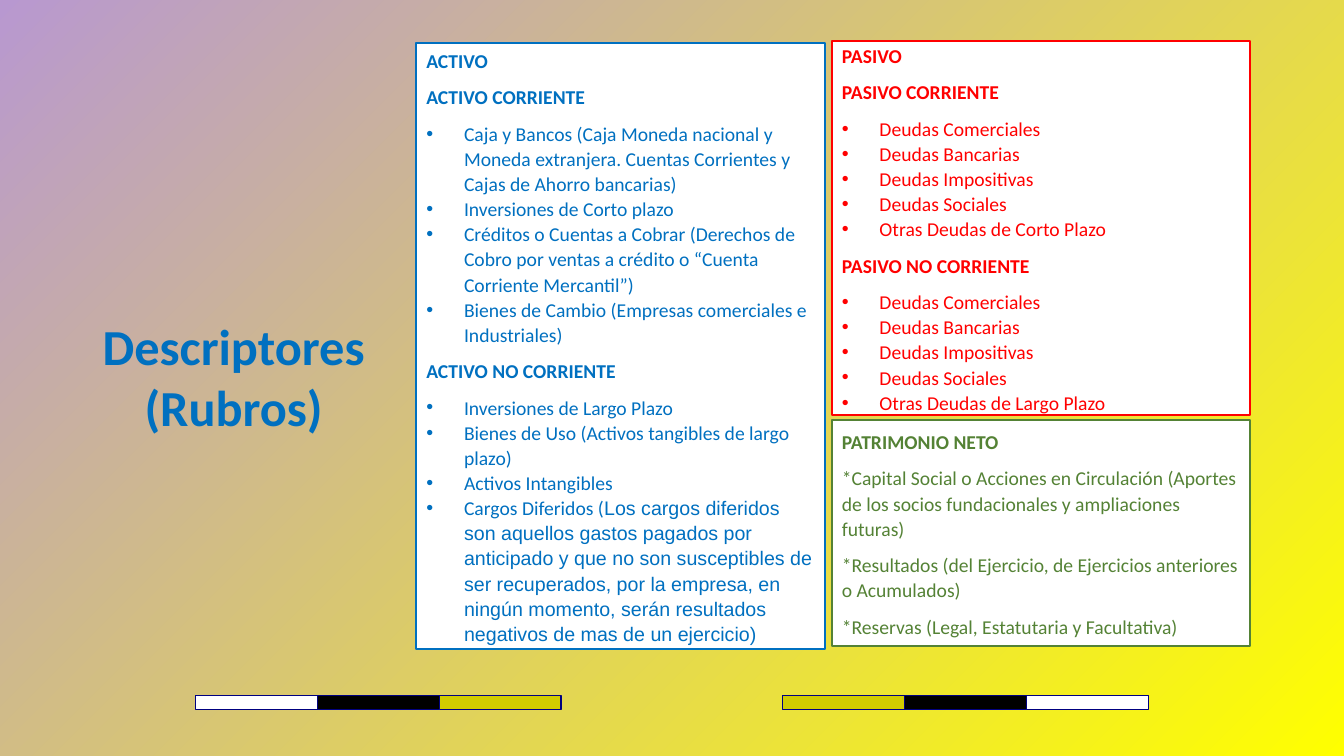
from dataclasses import dataclass
from pptx import Presentation
from pptx.dml.color import RGBColor
from pptx.enum.shapes import MSO_SHAPE
from pptx.enum.text import MSO_ANCHOR, MSO_AUTO_SIZE, PP_ALIGN
from pptx.oxml import parse_xml
from pptx.oxml.ns import nsdecls, qn
from pptx.util import Cm, Pt

TITLE = ["Descriptores", "(Rubros)"]
HEAD, ITEM, NOTE = "head", "item", "note"
DEBTS = ["Deudas Comerciales", "Deudas Bancarias", "Deudas Impositivas", "Deudas Sociales"]

ASSETS = [
    (HEAD, "ACTIVO"),
    (HEAD, "ACTIVO CORRIENTE"),
    (ITEM, "Caja y Bancos (Caja Moneda nacional y Moneda extranjera. "
           "Cuentas Corrientes y Cajas de Ahorro bancarias)"),
    (ITEM, "Inversiones de Corto plazo"),
    (ITEM, "Créditos o Cuentas a Cobrar (Derechos de Cobro por ventas a crédito "
           "o “Cuenta Corriente Mercantil”)"),
    (ITEM, "Bienes de Cambio (Empresas comerciales e Industriales)"),
    (HEAD, "ACTIVO NO CORRIENTE"),
    (ITEM, "Inversiones de Largo Plazo"),
    (ITEM, "Bienes de Uso (Activos tangibles de largo plazo)"),
    (ITEM, "Activos Intangibles"),
    (ITEM, "Cargos Diferidos (",
           "Los cargos diferidos son aquellos gastos pagados por anticipado y que no son "
           "susceptibles de ser recuperados, por la empresa, en ningún momento, serán "
           "resultados negativos de mas de un ejercicio)"),
]
LIABILITIES = [
    (HEAD, "PASIVO"),
    (HEAD, "PASIVO CORRIENTE"),
    *[(ITEM, debt) for debt in DEBTS],
    (ITEM, "Otras Deudas de Corto Plazo"),
    (HEAD, "PASIVO NO CORRIENTE"),
    *[(ITEM, debt) for debt in DEBTS],
    (ITEM, "Otras Deudas de Largo Plazo"),
]
EQUITY = [
    (HEAD, "PATRIMONIO NETO"),
    (NOTE, "*Capital Social o Acciones en Circulación (Aportes de los socios "
           "fundacionales y ampliaciones futuras)"),
    (NOTE, "*Resultados (del Ejercicio, de Ejercicios anteriores o Acumulados)"),
    (NOTE, "*Reservas (Legal, Estatutaria y Facultativa)"),
]


@dataclass(frozen=True)
class Theme:
    blue: RGBColor = RGBColor(0x00, 0x70, 0xC0)
    red: RGBColor = RGBColor(0xFF, 0x00, 0x00)
    green: RGBColor = RGBColor(0x54, 0x82, 0x35)
    white: RGBColor = RGBColor(0xFF, 0xFF, 0xFF)
    black: RGBColor = RGBColor(0x00, 0x00, 0x00)
    olive: RGBColor = RGBColor(0xD1, 0xCC, 0x00)
    navy: RGBColor = RGBColor(0x00, 0x00, 0x80)
    yellow: RGBColor = RGBColor(0xFF, 0xFF, 0x00)
    lilac: RGBColor = RGBColor(0xB8, 0x98, 0xD0)
    font: str = "Calibri"
    alt_font: str = "Arial"
    title: Pt = Pt(36)
    body: Pt = Pt(14)


T = Theme()
SLIDE_W, SLIDE_H = 33.87, 19.05
TITLE_BOX = (1.9, 7.8, 7.98, 3.33)
PANELS = {
    2: ((10.49, 1.09, 10.31, 15.27), T.blue, ASSETS),
    4: ((20.96, 1.04, 10.54, 9.42), T.red, LIABILITIES),
    1: ((20.96, 10.59, 10.54, 5.69), T.green, EQUITY),
}
STRIP_LEFT, STRIP_TOP, CELL_W, CELL_H = 4.93, 17.53, 3.07, 0.36
STRIP = [T.white, T.black, T.olive]
INDENT = Cm(0.95)


def place(sp, box):
    sp.left, sp.top, sp.width, sp.height = [Cm(v) for v in box]
    tf = sp.text_frame
    tf.word_wrap = True
    tf.auto_size = MSO_AUTO_SIZE.NONE
    tf.vertical_anchor = MSO_ANCHOR.MIDDLE
    return tf


def style(r, size, color, bold, font=T.font):
    r.font.name, r.font.size, r.font.bold = font, size, bold
    r.font.color.rgb = color


def set_bullet(p, on):
    pPr = p._p.get_or_add_pPr()
    pPr.set("marL", str(INDENT if on else 0))
    pPr.set("indent", str(-INDENT if on else 0))
    marks = ['buFont {} typeface="Arial"', 'buChar {} char="•"'] if on else ["buNone {}"]
    for mark in marks:
        pPr.append(parse_xml(f"<a:{mark.format(nsdecls('a'))}/>"))


def fill_panel(sp, box, color, rows):
    tf = place(sp, box)
    sp.fill.solid()
    sp.fill.fore_color.rgb = T.white
    sp.line.color.rgb = color
    sp.line.width = Pt(1.5)
    tf.text = "\n".join(row[1] for row in rows)
    next_kinds = [row[0] for row in rows[1:]] + [None]
    for p, (kind, _, *extra), next_kind in zip(tf.paragraphs, rows, next_kinds):
        set_bullet(p, kind == ITEM)
        p.alignment = PP_ALIGN.LEFT
        p.line_spacing = 1.07
        p.space_before = Pt(0)
        p.space_after = Pt(0 if kind == next_kind == ITEM else 8)
        style(p.runs[0], T.body, color, kind == HEAD)
        for text in extra:
            r = p.add_run()
            r.text = text
            style(r, T.body, color, False, T.alt_font)


def add_strip(s, left, colors):
    group = s.shapes.add_group_shape()
    for i, color in enumerate(colors):
        sp = group.shapes.add_shape(MSO_SHAPE.RECTANGLE, Cm(left + i * CELL_W),
                                    Cm(STRIP_TOP), Cm(CELL_W), Cm(CELL_H))
        sp.shadow.inherit = False
        sp.fill.solid()
        sp.fill.fore_color.rgb = color
        sp.line.color.rgb = T.navy
        sp.line.width = Pt(0.75)


def paint_background(s):
    fill = s.background.fill
    fill.gradient()
    for stop, color in zip(fill.gradient_stops, (T.yellow, T.lilac)):
        stop.color.rgb = color
    grad = s._element.find(".//" + qn("a:gradFill"))
    lin = grad.find(qn("a:lin"))
    grad.replace(lin, parse_xml(f'<a:path {nsdecls("a")} path="circle">'
                                '<a:fillToRect l="100000" t="100000"/></a:path>'))


def main():
    prs = Presentation()
    prs.slide_width, prs.slide_height = Cm(SLIDE_W), Cm(SLIDE_H)
    s = prs.slides.add_slide(prs.slide_layouts.get_by_name("Comparison"))
    paint_background(s)

    tf = place(s.shapes.title, TITLE_BOX)
    tf.text = "\n".join(TITLE)
    for p in tf.paragraphs:
        p.alignment = PP_ALIGN.CENTER
        style(p.runs[0], T.title, T.blue, True)

    for sp in list(s.placeholders):
        idx = sp.placeholder_format.idx
        if idx in PANELS:
            fill_panel(sp, *PANELS[idx])
        elif idx:
            sp._element.getparent().remove(sp._element)

    add_strip(s, STRIP_LEFT, STRIP)
    add_strip(s, SLIDE_W - STRIP_LEFT - len(STRIP) * CELL_W, STRIP[::-1])
    prs.save("out.pptx")


if __name__ == "__main__":
    main()
